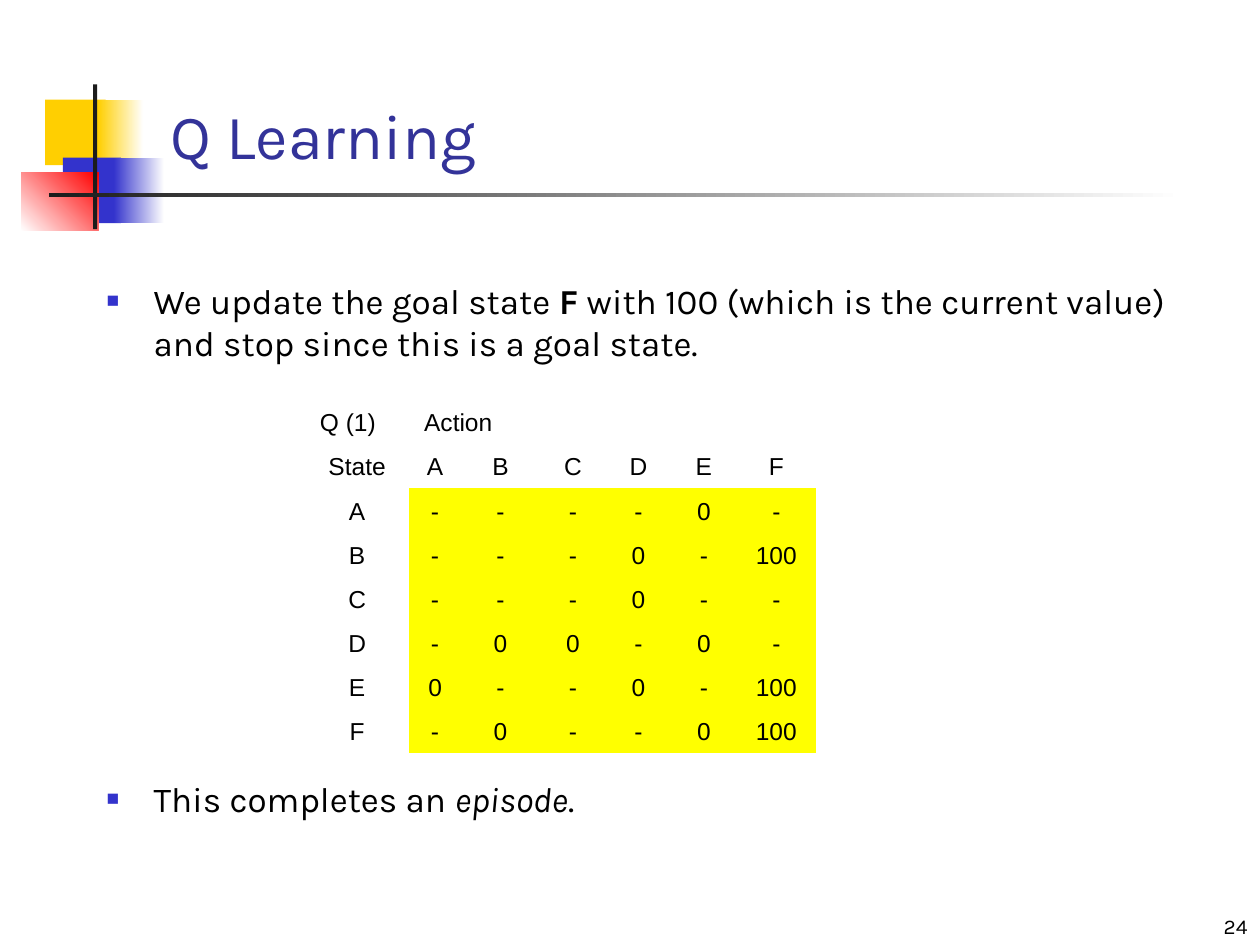
from lxml import etree
from pptx import Presentation
from pptx.dml.color import RGBColor as RGB
from pptx.enum.shapes import MSO_SHAPE as Kind
from pptx.enum.text import MSO_ANCHOR as Anchor, MSO_AUTO_SIZE as Fit, PP_ALIGN as Align
from pptx.oxml.ns import qn
from pptx.util import Cm, Pt

HUES = {"gold": "FFCF01", "blue": "3333CC", "red": "FF0000", "dark": "1C1C1C",
        "white": "FFFFFF", "title": "333399", "text": "000000", "cell": "FFFF00"}


def hue(name):
    return RGB.from_string(HUES[name])


def add_run(para, text, size, font="Karla", color="text", bold=False, italic=False):
    run = para.add_run()
    run.text = text
    run.font.size = Pt(size)
    run.font.name = font
    run.font.bold = bold
    run.font.italic = italic
    run.font.color.rgb = hue(color)


deck = Presentation()
deck.slide_width, deck.slide_height = Cm(25.4), Cm(19.05)
slide = deck.slides.add_slide(deck.slide_layouts[5])
shapes = slide.shapes

blocks = [
    (0.91, 2.01, 1.22, 1.32, "gold", None, 0),
    (1.98, 2.01, 0.91, 1.32, "gold", "white", 0),
    (1.27, 3.18, 1.17, 1.32, "blue", None, 0),
    (2.29, 3.18, 1.02, 1.32, "blue", "white", 0),
    (0.43, 3.48, 1.55, 1.17, "white", "red", 45),
    (1.88, 1.7, 0.08, 2.92, "dark", None, 0),
    (0.99, 3.89, 22.86, 0.08, "dark", "white", 0),
]
for left, top, width, height, start, end, angle in blocks:
    block = shapes.add_shape(Kind.RECTANGLE, Cm(left), Cm(top), Cm(width), Cm(height))
    block.shadow.inherit = False
    block.line.fill.background()
    if end:
        block.fill.gradient()
        block.fill.gradient_angle = angle
        for stop, name in zip(block.fill.gradient_stops, (start, end)):
            stop.color.rgb = hue(name)
    else:
        block.fill.solid()
        block.fill.fore_color.rgb = hue(start)

title = shapes.title
title.left, title.top, title.width, title.height = Cm(3.18), Cm(1.9), Cm(21.64), Cm(1.7)
frame = title.text_frame
frame.auto_size = Fit.NONE
frame.vertical_anchor = Anchor.BOTTOM
frame.paragraphs[0].alignment = Align.LEFT
add_run(frame.paragraphs[0], "Q Learning", 36, color="title")

body = shapes.add_textbox(Cm(1.9), Cm(5.51), Cm(22.43), Cm(12.5)).text_frame
body.word_wrap = True
points = [
    (0, [("We update the goal state ", {}), ("F", {"bold": True}),
         (" with 100 (which is the current value) and stop since this is a goal state.", {})]),
    (236.5, [("This completes an ", {}), ("episode", {"italic": True}), (".", {})]),
]
for index, (gap, parts) in enumerate(points):
    para = body.add_paragraph() if index else body.paragraphs[0]
    props = para._p.get_or_add_pPr()
    props.set("marL", str(Cm(0.95)))
    props.set("indent", str(-Cm(0.95)))
    tint = etree.SubElement(props, qn("a:buClr"))
    etree.SubElement(tint, qn("a:srgbClr"), val=HUES["blue"])
    etree.SubElement(props, qn("a:buSzPct"), val="60000")
    etree.SubElement(props, qn("a:buFont"), typeface="Arial")
    etree.SubElement(props, qn("a:buChar"), char="■")
    para.space_before = Pt(gap)
    for text, style in parts:
        add_run(para, text, 20, **style)

rows = [
    ["Q (1)", "Action", "", "", "", "", ""],
    ["State", "A", "B", "C", "D", "E", "F"],
    ["A", "-", "-", "-", "-", "0", "-"],
    ["B", "-", "-", "-", "0", "-", "100"],
    ["C", "-", "-", "-", "0", "-", "-"],
    ["D", "-", "0", "0", "-", "0", "-"],
    ["E", "0", "-", "-", "0", "-", "100"],
    ["F", "-", "0", "-", "-", "0", "100"],
]
widths = [2.1, 1.04, 1.6, 1.32, 1.32, 1.32, 1.6]
grid = shapes.add_table(len(rows), len(widths), Cm(6.15), Cm(8.05), Cm(10.3), Cm(7.12)).table
grid.first_row = grid.horz_banding = False
grid._tbl.tblPr.find(qn("a:tableStyleId")).text = "{2D5ABB26-0587-4C30-8999-92F81FD0307C}"
for col, width in zip(grid.columns, widths):
    col.width = Cm(width)
grid.cell(0, 1).merge(grid.cell(0, 2))
for r, row in enumerate(rows):
    grid.rows[r].height = Cm(0.89)
    for c, text in enumerate(row):
        cell = grid.cell(r, c)
        cell.vertical_anchor = Anchor.BOTTOM
        cell.margin_left = cell.margin_right = Cm(0.3)
        cell.margin_top = cell.margin_bottom = Cm(0.13)
        if r > 1 and c > 0:
            cell.fill.solid()
            cell.fill.fore_color.rgb = hue("cell")
        else:
            cell.fill.background()
        para = cell.text_frame.paragraphs[0]
        para.alignment = Align.CENTER if r else Align.LEFT
        if text:
            add_run(para, text, 14, "Arial")
        else:
            etree.SubElement(para._p, qn("a:endParaRPr"), sz="1400")

page = shapes.add_textbox(Cm(20.12), Cm(17.98), Cm(5.28), Cm(1.07)).text_frame
page.word_wrap = True
page.vertical_anchor = Anchor.BOTTOM
page.paragraphs[0].alignment = Align.RIGHT
add_run(page.paragraphs[0], "24", 12)

deck.save("out.pptx")
